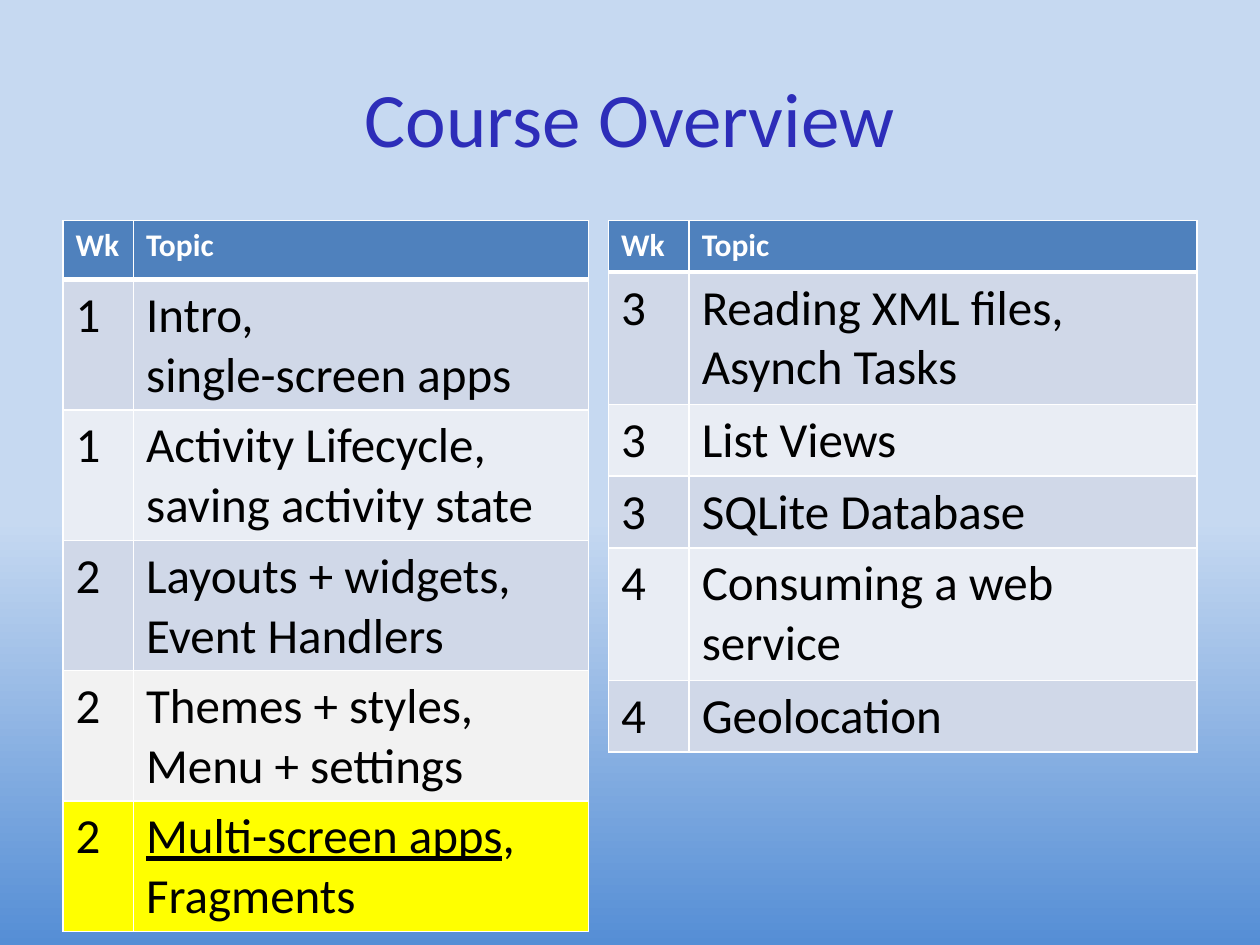
import pptx
import pptx.dml.color
import pptx.enum.text
import pptx.oxml
import pptx.oxml.ns
import pptx.util
from pptx.util import Inches

FONT = "Calibri"
HEADER_FILL = "4F81BD"
DARK_BAND = "D0D8E8"
LIGHT_BAND = "E9EDF4"
GRAY_BAND = "F2F2F2"
HIGHLIGHT = "FFFF00"

# Each row: week, topic, fill. "\n" starts a paragraph, "\v" breaks a line.
FIRST_WEEKS = [
    ("1", "Intro, \vsingle-screen apps", DARK_BAND),
    ("1", "Activity Lifecycle, saving activity state", LIGHT_BAND),
    ("2", "Layouts + widgets,\nEvent Handlers", DARK_BAND),
    ("2", "Themes + styles,\nMenu + settings", GRAY_BAND),
    ("2", "Multi-screen apps", HIGHLIGHT),
]
LAST_WEEKS = [
    ("3", "Reading XML files,\nAsynch Tasks", DARK_BAND),
    ("3", "List Views", LIGHT_BAND),
    ("3", "SQLite Database", DARK_BAND),
    ("4", "Consuming a web service", LIGHT_BAND),
    ("4", "Geolocation", DARK_BAND),
]


def color(hex_string):
    return pptx.dml.color.RGBColor.from_string(hex_string)


def format_runs(text_frame, size, hex_string, bold=False):
    for paragraph in text_frame.paragraphs:
        for run in paragraph.runs:
            run.font.name = FONT
            run.font.size = pptx.util.Pt(size)
            run.font.bold = bold
            run.font.color.rgb = color(hex_string)


def set_background(slide):
    fill = slide.background.fill
    fill.gradient()
    fill.gradient_angle = 270  # counter-clockwise: runs from top to bottom
    stops = [(0.55, "C6D9F1"), (1, "558ED5")]
    for stop, (position, hex_string) in zip(fill.gradient_stops, stops):
        stop.position = position
        stop.color.rgb = color(hex_string)


def add_title(slide, text):
    shape = slide.shapes.add_textbox(
        Inches(0.5), Inches(0.3), Inches(9), Inches(1.25))
    text_frame = shape.text_frame
    text_frame.word_wrap = True
    text_frame.vertical_anchor = pptx.enum.text.MSO_ANCHOR.MIDDLE
    text_frame.text = text
    text_frame.paragraphs[0].alignment = pptx.enum.text.PP_ALIGN.CENTER
    format_runs(text_frame, 44, "2D2DB9")


def set_borders(cell, top=1, bottom=1):
    properties = cell._tc.get_or_add_tcPr()
    sides = [("L", 1), ("R", 1), ("T", top), ("B", bottom)]
    for index, (side, width) in enumerate(sides):
        line = pptx.oxml.parse_xml(
            f'<a:ln{side} {pptx.oxml.ns.nsdecls("a")} w="{pptx.util.Pt(width)}">'
            '<a:solidFill><a:srgbClr val="FFFFFF"/></a:solidFill>'
            f'</a:ln{side}>')
        properties.insert(index, line)


def fill_cell(cell, text, row_index, fill):
    header = row_index == 0
    cell.text_frame.text = text
    format_runs(cell.text_frame, 18 if header else 28,
                "FFFFFF" if header else "000000", bold=header)
    cell.fill.solid()
    cell.fill.fore_color.rgb = color(fill)
    # The edge below the header is heavier
    set_borders(cell, top=3 if row_index == 1 else 1, bottom=3 if header else 1)


def add_schedule(slide, left, height, widths, heights, topics):
    rows = [("Wk", "Topic", HEADER_FILL)] + topics
    frame = slide.shapes.add_table(
        len(rows), len(widths), Inches(left), Inches(1.75),
        Inches(sum(widths)), Inches(height))
    table = frame.table
    for column, width in zip(table.columns, widths):
        column.width = Inches(width)
    for row, row_height in zip(table.rows, heights):
        row.height = Inches(row_height)
    for row_index, (week, topic, fill) in enumerate(rows):
        for column_index, text in enumerate((week, topic)):
            fill_cell(table.cell(row_index, column_index), text, row_index, fill)
    frame.height = Inches(height)
    return table


def underline_current_topic(cell):
    paragraph = cell.text_frame.paragraphs[0]
    paragraph.add_run().text = ", Fragments"
    format_runs(cell.text_frame, 28, "000000")
    paragraph.runs[0].font.underline = True


def main():
    presentation = pptx.Presentation()
    presentation.slide_width = Inches(10)
    presentation.slide_height = Inches(7.5)
    slide = presentation.slides.add_slide(presentation.slide_layouts[6])

    set_background(slide)
    add_title(slide, "Course Overview")

    # Left table: rows grow to fit their two lines of text
    first_table = add_schedule(
        slide, 0.5, 5.64, [0.56, 3.61], [0.47] * 6, FIRST_WEEKS)
    underline_current_topic(first_table.cell(5, 1))

    # Right table
    add_schedule(slide, 4.83, 4.23, [0.64, 4.03],
                 [0.41, 1.05, 0.57, 0.57, 1.05, 0.57], LAST_WEEKS)

    presentation.save("out.pptx")


if __name__ == "__main__":
    main()
